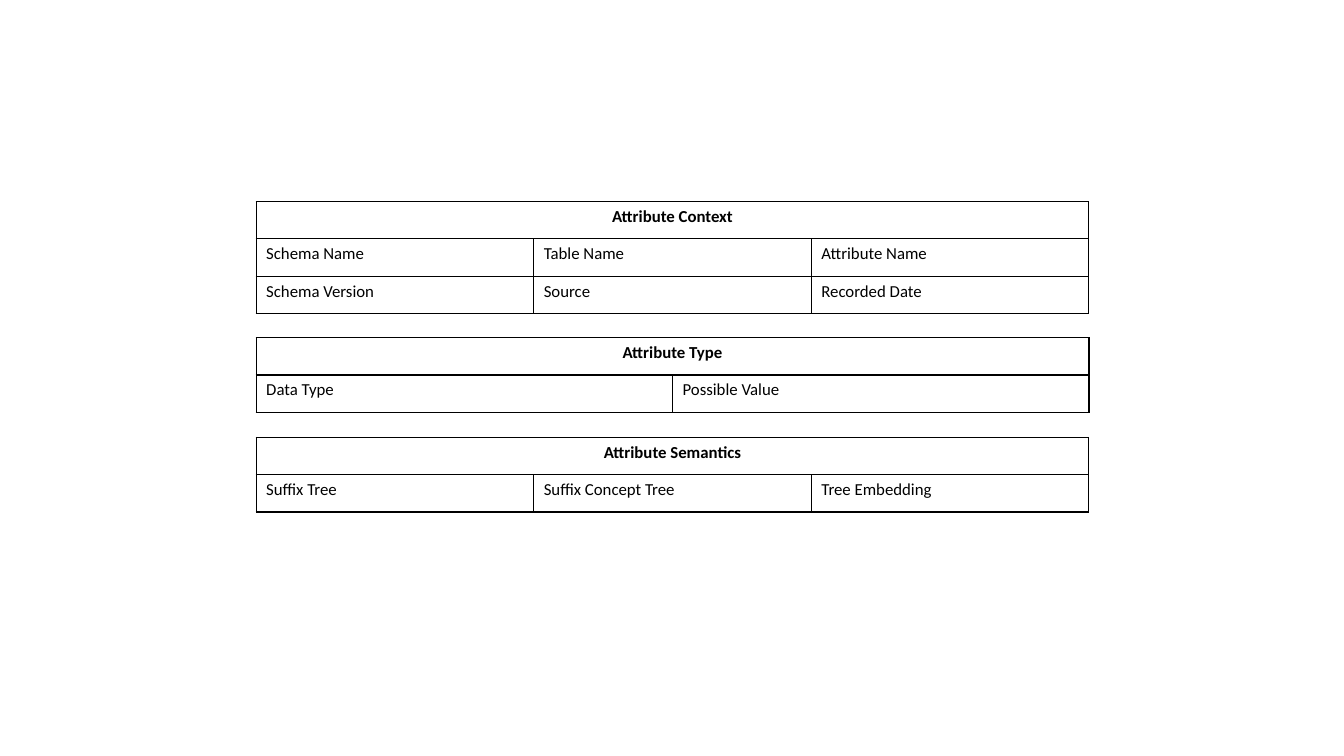
import lxml.etree
import pptx
import pptx.dml.color
import pptx.enum.text
import pptx.oxml.ns
import pptx.util
from pptx.util import Inches

LEFT, WIDTH, ROW_HEIGHT = 2.54, 8.26, 0.37
BLACK, WHITE = "000000", "FFFFFF"

# Top edge, heading, rows of attributes
SECTIONS = [
    (2.0, "Attribute Context", [
        ["Schema Name", "Table Name", "Attribute Name"],
        ["Schema Version", "Source", "Recorded Date"],
    ]),
    (3.35, "Attribute Type", [["Data Type", "Possible Value"]]),
    (4.34, "Attribute Semantics", [
        ["Suffix Tree", "Suffix Concept Tree", "Tree Embedding"],
    ]),
]


def rgb(color):
    return pptx.dml.color.RGBColor.from_string(color)


def style_cell(cell):
    """Give the cell thin black borders on all sides and a white fill."""
    properties = cell._tc.get_or_add_tcPr()
    for side in ("a:lnL", "a:lnR", "a:lnT", "a:lnB"):
        border = lxml.etree.SubElement(
            properties, pptx.oxml.ns.qn(side), w=str(pptx.util.Pt(1)))
        fill = lxml.etree.SubElement(border, pptx.oxml.ns.qn("a:solidFill"))
        lxml.etree.SubElement(fill, pptx.oxml.ns.qn("a:srgbClr"), val=BLACK)
    cell.fill.solid()
    cell.fill.fore_color.rgb = rgb(WHITE)


presentation = pptx.Presentation()
presentation.slide_width = Inches(13.33)
presentation.slide_height = Inches(7.5)
slide = presentation.slides.add_slide(presentation.slide_layouts[6])

for top, heading, attribute_rows in SECTIONS:
    column_count = len(attribute_rows[0])
    row_count = len(attribute_rows) + 1
    section = slide.shapes.add_table(
        row_count, column_count, Inches(LEFT), Inches(top),
        Inches(WIDTH), Inches(ROW_HEIGHT * row_count)).table
    section.first_row = False
    section.horz_banding = False
    section.cell(0, 0).merge(section.cell(0, column_count - 1))

    heading_row = [heading] + [""] * (column_count - 1)
    for row, labels in enumerate([heading_row] + attribute_rows):
        for column, label in enumerate(labels):
            cell = section.cell(row, column)
            style_cell(cell)
            if not label:
                continue
            paragraph = cell.text_frame.paragraphs[0]
            if row == 0:
                paragraph.alignment = pptx.enum.text.PP_ALIGN.CENTER
            run = paragraph.add_run()
            run.text = label
            run.font.name = "Calibri"
            run.font.size = pptx.util.Pt(12)
            run.font.bold = row == 0
            run.font.color.rgb = rgb(BLACK)

presentation.save("out.pptx")
